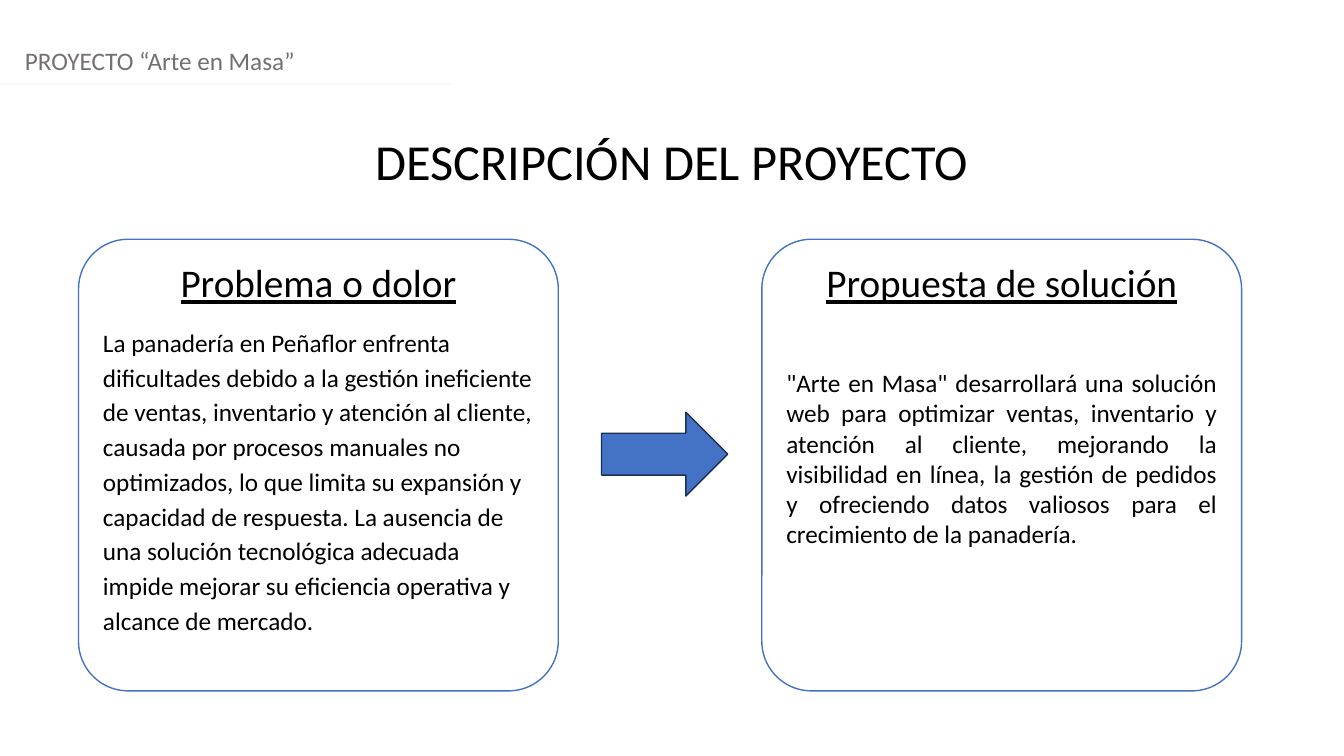
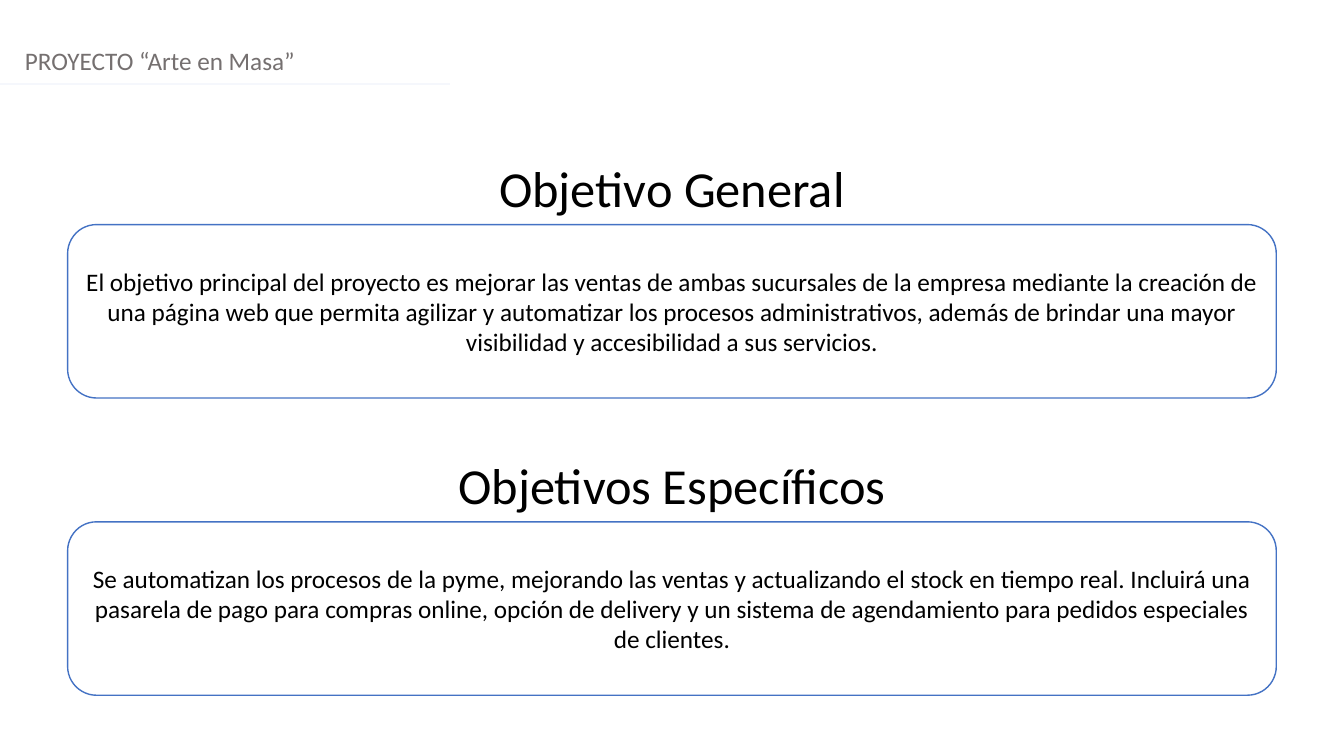
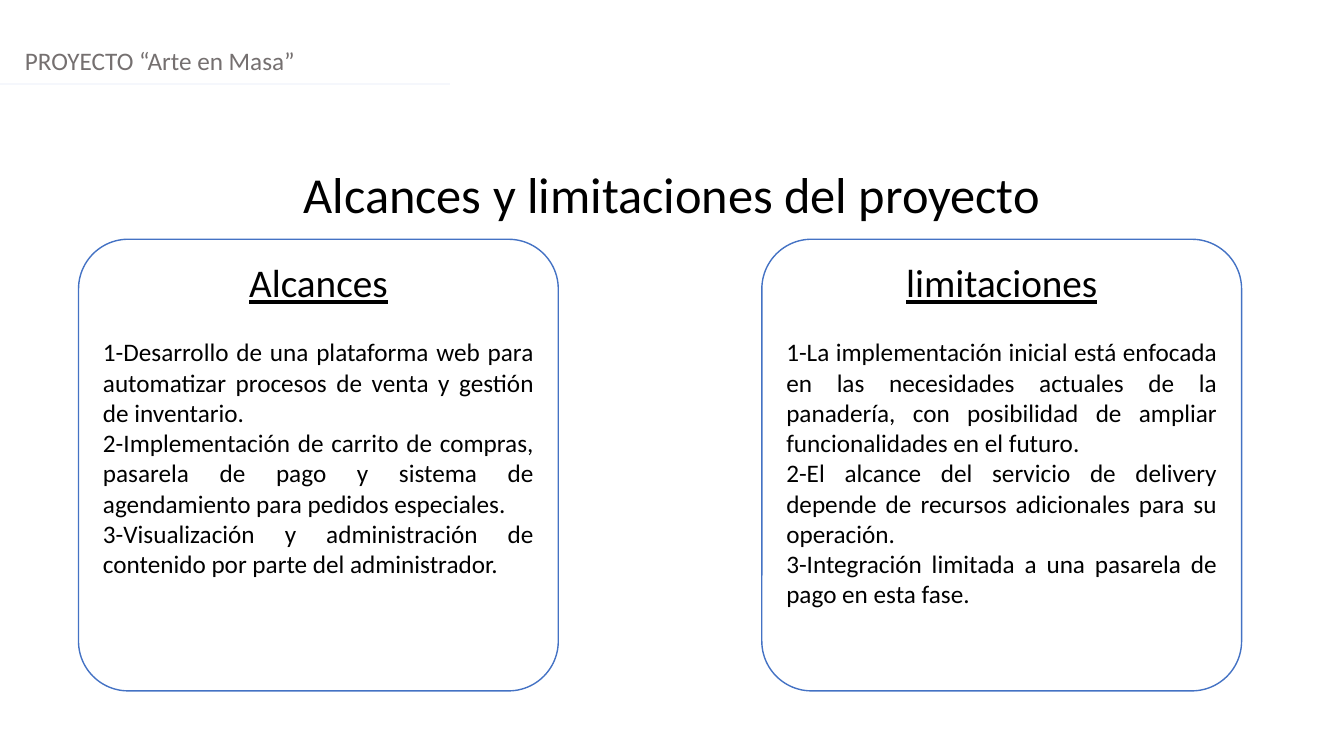
from lxml import etree
from pptx import Presentation
from pptx.dml.color import RGBColor
from pptx.enum.shapes import MSO_CONNECTOR, MSO_SHAPE
from pptx.enum.text import MSO_ANCHOR, PP_ALIGN
from pptx.oxml.ns import qn
from pptx.util import Cm, Pt

ROUNDED = MSO_SHAPE.ROUNDED_RECTANGLE
RIGHT_ARROW = MSO_SHAPE.RIGHT_ARROW
STRAIGHT = MSO_CONNECTOR.STRAIGHT
TOP, MIDDLE = MSO_ANCHOR.TOP, MSO_ANCHOR.MIDDLE
LEFT, CENTER, JUSTIFY = PP_ALIGN.LEFT, PP_ALIGN.CENTER, PP_ALIGN.JUSTIFY

BLACK = RGBColor(0x00, 0x00, 0x00)
WHITE = RGBColor(0xFF, 0xFF, 0xFF)
GRAY = RGBColor(0x75, 0x70, 0x70)
BLUE = RGBColor(0x44, 0x72, 0xC4)
NAVY = RGBColor(0x1C, 0x30, 0x52)
PALE = RGBColor(0xF5, 0xF7, 0xFC)

FONT = "Calibri"
TITLE_SIZE, HEADING_SIZE, BODY_SIZE = 36, 28, 18
BODY_LINE = 22
WIDTH, HEIGHT = 33.87, 19.05
TITLE_HEIGHT = 1.82
CARD_LEFTS = (1.98, 19.2)
CARD_TOP, CARD_WIDTH, CARD_HEIGHT = 6.03, 12.09, 11.38
PANEL_WIDTH, PANEL_HEIGHT = 30.46, 4.37


class Deck:
    def __init__(self):
        self.presentation = Presentation()
        self.presentation.slide_width = Cm(WIDTH)
        self.presentation.slide_height = Cm(HEIGHT)
        self.slide = None

    def add_slide(self):
        self.slide = self.presentation.slides.add_slide(self.presentation.slide_layouts[6])
        self.text_box("PROYECTO “Arte en Masa”", 0.38, 1.02, 1.02, BODY_SIZE, GRAY, LEFT)
        rule = self.slide.shapes.add_connector(STRAIGHT, 0, Cm(2.11), Cm(11.35), Cm(2.11))
        rule.line.color.rgb = PALE
        rule.line.width = Pt(1.25)
        etree.SubElement(rule._element.spPr, qn("a:effectLst"))

    def set_text(self, paragraph, text, size, color=BLACK, alignment=CENTER):
        paragraph.text = text
        paragraph.alignment = alignment
        paragraph.font.name = FONT
        paragraph.font.size = Pt(size)
        paragraph.font.color.rgb = color

    def text_box(self, text, left, top, height, size, color, alignment):
        box = self.slide.shapes.add_textbox(Cm(left), Cm(top), Cm(WIDTH), Cm(height))
        box.text_frame.word_wrap = True
        self.set_text(box.text_frame.paragraphs[0], text, size, color, alignment)

    def title(self, text, top):
        self.text_box(text, 0, top, TITLE_HEIGHT, TITLE_SIZE, BLACK, CENTER)

    def shape(self, kind, left, top, width, height, fill, line):
        shape = self.slide.shapes.add_shape(kind, Cm(left), Cm(top), Cm(width), Cm(height))
        shape.shadow.inherit = False
        shape.fill.solid()
        shape.fill.fore_color.rgb = fill
        shape.line.color.rgb = line
        shape.line.width = Pt(1)
        return shape

    def panel(self, title, text, top):
        self.title(title, top - TITLE_HEIGHT)
        left = (WIDTH - PANEL_WIDTH) / 2
        panel = self.shape(ROUNDED, left, top, PANEL_WIDTH, PANEL_HEIGHT, WHITE, BLUE)
        panel.text_frame.vertical_anchor = MIDDLE
        self.set_text(panel.text_frame.paragraphs[0], text, BODY_SIZE)

    def card(self, left, heading, texts, gap, alignment=JUSTIFY, line_spacing=1.0):
        card = self.shape(ROUNDED, left, CARD_TOP, CARD_WIDTH, CARD_HEIGHT, WHITE, BLUE)
        card.adjustments[0] = 0.11
        frame = card.text_frame
        frame.vertical_anchor = TOP
        self.set_text(frame.paragraphs[0], heading, HEADING_SIZE)
        frame.paragraphs[0].font.underline = True
        for index, text in enumerate(texts):
            paragraph = frame.add_paragraph()
            self.set_text(paragraph, text, BODY_SIZE, alignment=alignment)
            paragraph.line_spacing = line_spacing
            paragraph.space_before = Pt(0 if index else gap)

    def arrow(self, left, top, width, height):
        self.shape(RIGHT_ARROW, left, top, width, height, BLUE, NAVY)


def main():
    deck = Deck()

    deck.add_slide()
    deck.title("DESCRIPCIÓN DEL PROYECTO", 3.15)
    deck.card(CARD_LEFTS[0], "Problema o dolor", [
        "La panadería en Peñaflor enfrenta dificultades debido a la gestión ineficiente de "
        "ventas, inventario y atención al cliente, causada por procesos manuales no "
        "optimizados, lo que limita su expansión y capacidad de respuesta. La ausencia de "
        "una solución tecnológica adecuada impide mejorar su eficiencia operativa y "
        "alcance de mercado.",
    ], 12, LEFT, 1.15)
    deck.card(CARD_LEFTS[1], "Propuesta de solución", [
        "\"Arte en Masa\" desarrollará una solución web para optimizar ventas, inventario y "
        "atención al cliente, mejorando la visibilidad en línea, la gestión de pedidos y "
        "ofreciendo datos valiosos para el crecimiento de la panadería.",
    ], 2 * BODY_LINE)
    deck.arrow(15.16, 10.39, 3.18, 2.11)

    deck.add_slide()
    deck.panel(
        "Objetivo General",
        "El objetivo principal del proyecto es mejorar las ventas de ambas sucursales de la "
        "empresa mediante la creación de una página web que permita agilizar y automatizar "
        "los procesos administrativos, además de brindar una mayor visibilidad y "
        "accesibilidad a sus servicios.",
        5.66)
    deck.panel(
        "Objetivos Específicos",
        "Se automatizan los procesos de la pyme, mejorando las ventas y actualizando el "
        "stock en tiempo real. Incluirá una pasarela de pago para compras online, opción de "
        "delivery y un sistema de agendamiento para pedidos especiales de clientes.",
        13.15)

    deck.add_slide()
    deck.title("Alcances y limitaciones del proyecto", 3.99)
    deck.card(CARD_LEFTS[0], "Alcances", [
        "1-Desarrollo de una plataforma web para automatizar procesos de venta y gestión de "
        "inventario.",
        "2-Implementación de carrito de compras, pasarela de pago y sistema de agendamiento "
        "para pedidos especiales.",
        "3-Visualización y administración de contenido por parte del administrador.",
    ], BODY_LINE)
    deck.card(CARD_LEFTS[1], "limitaciones", [
        "1-La implementación inicial está enfocada en las necesidades actuales de la "
        "panadería, con posibilidad de ampliar funcionalidades en el futuro.",
        "2-El alcance del servicio de delivery depende de recursos adicionales para su "
        "operación.",
        "3-Integración limitada a una pasarela de pago en esta fase.",
    ], BODY_LINE)

    deck.presentation.save("out.pptx")


if __name__ == "__main__":
    main()
